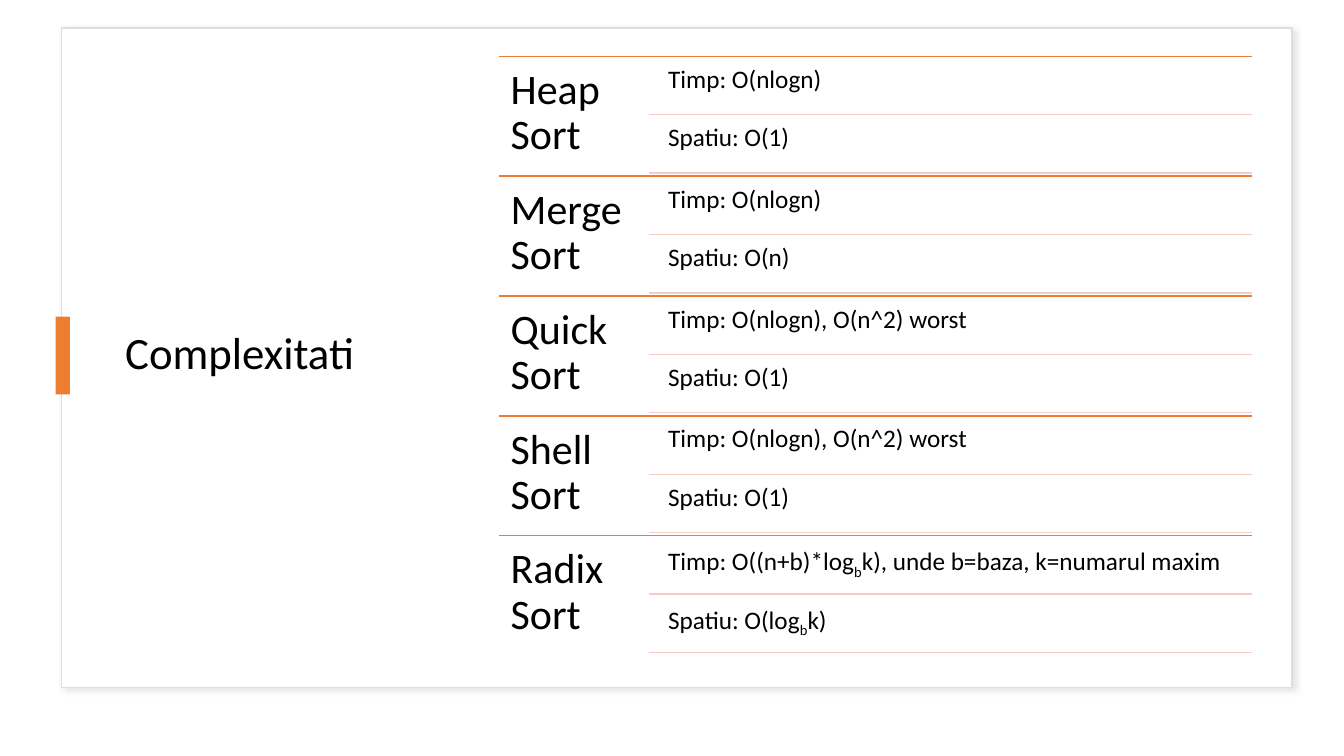
"""Build the slide that compares the complexities of five sorting algorithms."""
from dataclasses import dataclass

from lxml.etree import SubElement
from pptx import Presentation
from pptx.dml.color import RGBColor as RGB
from pptx.enum.shapes import MSO_CONNECTOR as CONNECTOR, MSO_SHAPE as SHAPE
from pptx.enum.text import MSO_ANCHOR as ANCHOR, MSO_AUTO_SIZE as AUTO, PP_ALIGN as ALIGN
from pptx.oxml.ns import qn
from pptx.util import Cm, Pt


@dataclass(frozen=True)
class Theme:
    font: str = "Calibri"
    text: RGB = RGB.from_string("000000")
    card: RGB = RGB.from_string("FFFFFF")
    border: RGB = RGB.from_string("DEDEDE")
    accent: RGB = RGB.from_string("ED7D31")
    pale: RGB = RGB.from_string("F6CCBE")
    shadow: str = "C5C3C3"
    title_size: Pt = Pt(32)
    name_size: Pt = Pt(30)
    detail_size: Pt = Pt(18)


theme = Theme()
LEFT, DETAIL_LEFT, RIGHT = 12.57, 16.36, 31.55
TOP, ROW_H, DETAIL_H = 1.42, 3.02, 1.47
GAP, INDENT = 0.08, 0.3

SORTS = [
    ("Heap Sort", ["Timp: O(nlogn)", "Spatiu: O(1)"]),
    ("Merge Sort", ["Timp: O(nlogn)", "Spatiu: O(n)"]),
    ("Quick Sort", ["Timp: O(nlogn), O(n^2) worst", "Spatiu: O(1)"]),
    ("Shell Sort", ["Timp: O(nlogn), O(n^2) worst", "Spatiu: O(1)"]),
    ("Radix Sort", ["Timp: O((n+b)*log~b~k), unde b=baza, k=numarul maxim",
                    "Spatiu: O(log~b~k)"]),
]

prs = Presentation()
prs.slide_width, prs.slide_height = Cm(33.87), Cm(19.05)
s = prs.slides.add_slide(prs.slide_layouts[5])


def add_rule(left, y, color):
    """Draw a horizontal rule from left to the right edge of the list."""
    rule = s.shapes.add_connector(CONNECTOR.STRAIGHT, Cm(left), Cm(y), Cm(RIGHT), Cm(y))
    rule.line.color.rgb = color
    rule.line.width = Pt(1)
    SubElement(rule.element.spPr, qn("a:effectLst"))


def add_text(text, left, top, width, height, inset, size):
    """Add a text box; text between tildes is set as subscript."""
    tf = s.shapes.add_textbox(Cm(left), Cm(top), Cm(width), Cm(height)).text_frame
    tf.word_wrap = True
    tf.margin_left = tf.margin_top = tf.margin_right = tf.margin_bottom = Cm(inset)
    p = tf.paragraphs[0]
    p.line_spacing = 0.9
    p.font.name, p.font.size, p.font.color.rgb = theme.font, size, theme.text
    for i, part in enumerate(text.split("~")):
        r = p.add_run()
        r.text = part
        if i % 2:
            r._r.get_or_add_rPr().set("baseline", "-25000")


title = s.shapes.title
title.left, title.top, title.width, title.height = Cm(2.9), Cm(1.4), Cm(8.31), Cm(15.11)
tf = title.text_frame
tf.text = "Complexitati"
tf.word_wrap = True
tf.auto_size = AUTO.NONE
tf.vertical_anchor = ANCHOR.MIDDLE
p = tf.paragraphs[0]
p.alignment, p.line_spacing = ALIGN.LEFT, 0.9
p.font.name, p.font.size, p.font.color.rgb = theme.font, theme.title_size, theme.text

card = s.shapes.add_shape(SHAPE.RECTANGLE, Cm(1.55), Cm(0.71), Cm(31.01), Cm(16.61))
card.fill.solid()
card.fill.fore_color.rgb = theme.card
card.line.color.rgb = theme.border
card.line.width = Pt(1)
effects = SubElement(card.element.spPr, qn("a:effectLst"))
shadow = SubElement(effects, qn("a:outerShdw"), blurRad=str(Pt(4)), dist=str(Pt(3)),
                    dir="2700000", algn="tl", rotWithShape="0")
shadow_color = SubElement(shadow, qn("a:srgbClr"), val=theme.shadow)
SubElement(shadow_color, qn("a:alpha"), val="50000")
title.element.addprevious(card.element)

marker = s.shapes.add_shape(SHAPE.RECTANGLE, Cm(1.4), Cm(7.98), Cm(0.36), Cm(1.96))
marker.shadow.inherit = False
marker.fill.solid()
marker.fill.fore_color.rgb = theme.accent
marker.line.fill.background()

for row, (name, details) in enumerate(SORTS):
    y = TOP + row * ROW_H
    add_rule(LEFT, y, theme.accent)
    add_text(name, LEFT, y, DETAIL_LEFT - LEFT, ROW_H, 0.3, theme.name_size)
    for i, detail in enumerate(details):
        left = DETAIL_LEFT + INDENT
        add_text(detail, left, y + GAP + i * DETAIL_H, RIGHT - left, DETAIL_H - GAP,
                 0.18, theme.detail_size)
        add_rule(DETAIL_LEFT, y + (i + 1) * DETAIL_H, theme.pale)

prs.save("out.pptx")
